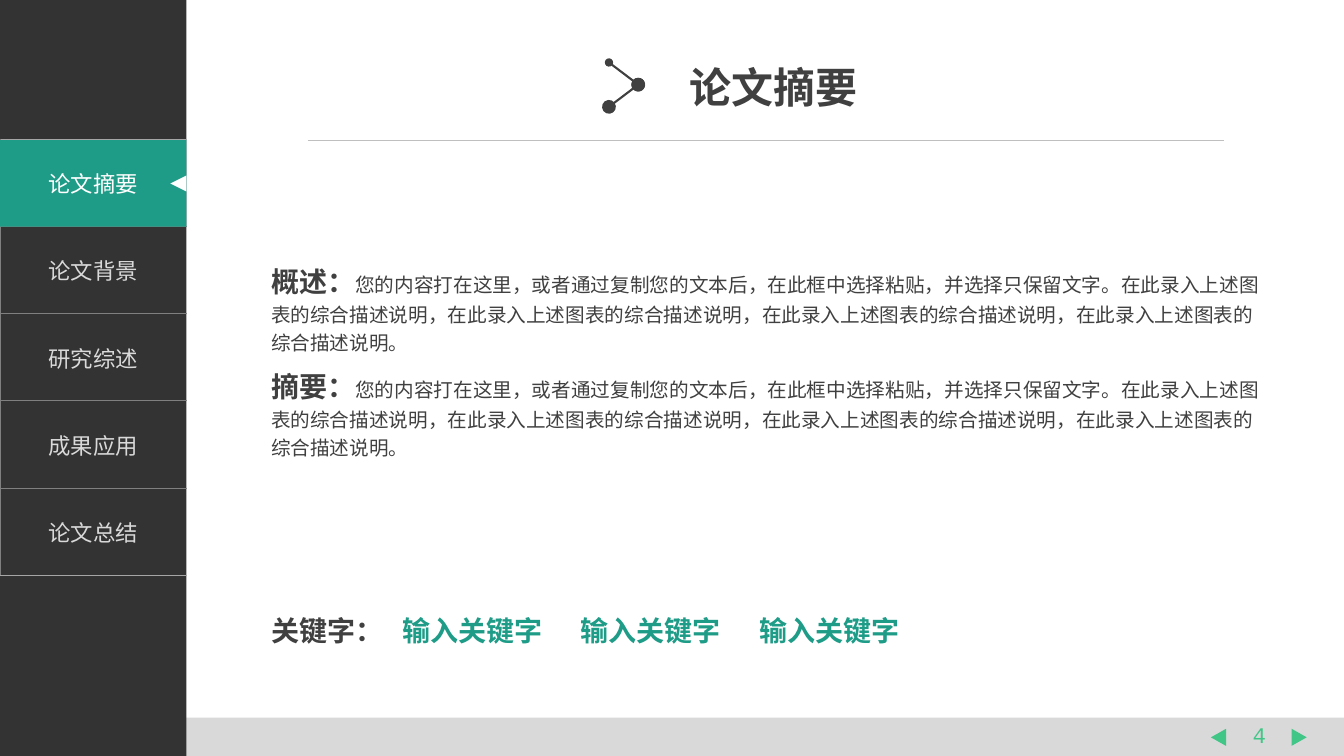
from lxml import etree
from pptx import Presentation
from pptx.dml.color import RGBColor
from pptx.enum.shapes import MSO_CONNECTOR, MSO_SHAPE
from pptx.enum.text import MSO_ANCHOR, MSO_AUTO_SIZE, PP_ALIGN
from pptx.oxml.ns import qn
from pptx.util import Inches, Pt

RECTANGLE = MSO_SHAPE.RECTANGLE
TRIANGLE = MSO_SHAPE.ISOSCELES_TRIANGLE
STRAIGHT = MSO_CONNECTOR.STRAIGHT
MIDDLE = MSO_ANCHOR.MIDDLE
GROW = MSO_AUTO_SIZE.SHAPE_TO_FIT_TEXT
LEFT = PP_ALIGN.LEFT
CENTER = PP_ALIGN.CENTER

COLORS = {
    "white": "FFFFFF",
    "footer": "D9D9D9",
    "sidebar": "333333",
    "divider": "808080",
    "outer_divider": "A6A6A6",
    "rule": "BFBFBF",
    "text": "404040",
    "accent": "1E9C87",
    "pager": "42C687",
}
CHINESE_FONT = "Noto Sans CJK SC"
SECTIONS = ["论文摘要", "论文背景", "研究综述", "成果应用", "论文总结"]
BODY = "您的内容打在这里，或者通过复制您的文本后，在此框中选择粘贴，并选择只保留文字。" + "，".join(
    ["在此录入上述图表的综合描述说明"] * 4) + "。"


class SlideBuilder:
    def __init__(self, slide):
        self.slide = slide

    def color(self, name):
        return RGBColor.from_string(COLORS[name])

    def format_run(self, run, size, color, bold=False, font=CHINESE_FONT):
        run.font.size = Pt(size)
        run.font.bold = bold
        run.font.name = font
        run.font.color.rgb = self.color(color)
        east_asian = etree.SubElement(run.font._element, qn("a:ea"))
        east_asian.set("typeface", CHINESE_FONT)

    def label(self, text_frame, text, size, color, **style):
        text_frame.text = text
        paragraph = text_frame.paragraphs[0]
        paragraph.alignment = CENTER
        self.format_run(paragraph.runs[0], size, color, **style)

    def shape(self, kind, left, top, width, height, fill, rotation=0):
        shape = self.slide.shapes.add_shape(
            kind, Inches(left), Inches(top), Inches(width), Inches(height))
        shape.shadow.inherit = False
        shape.fill.solid()
        shape.fill.fore_color.rgb = self.color(fill)
        shape.line.fill.background()
        shape.rotation = rotation
        return shape

    def text_box(self, left, top, width, height, wrap=True):
        box = self.slide.shapes.add_textbox(
            Inches(left), Inches(top), Inches(width), Inches(height))
        box.text_frame.word_wrap = wrap
        box.text_frame.auto_size = GROW
        return box.text_frame

    def headed_text(self, top, height, parts, tabs=()):
        paragraph = self.text_box(2.59, top, 10.04, height).paragraphs[0]
        paragraph.alignment = LEFT
        paragraph.line_spacing = 1.2
        if tabs:
            tab_list = etree.SubElement(paragraph._p.get_or_add_pPr(), qn("a:tabLst"))
            for position in tabs:
                etree.SubElement(tab_list, qn("a:tab"), pos=str(Inches(position)), algn="l")
        for text, size, color, bold in parts:
            run = paragraph.add_run()
            run.text = text
            self.format_run(run, size, color, bold)

    def line(self, start, end, color, width, ovals=None):
        connector = self.slide.shapes.add_connector(
            STRAIGHT, *(Inches(value) for value in start + end))
        connector.line.color.rgb = self.color(color)
        connector.line.width = Pt(width)
        for tag, size in (ovals or {}).items():
            etree.SubElement(connector.line._get_or_add_ln(), qn(tag),
                             type="oval", w=size, len=size)
        etree.SubElement(connector._element.spPr, qn("a:effectLst"))

    def border(self, cell, tag, color=None):
        line = etree.SubElement(cell._tc.get_or_add_tcPr(), qn(tag), w=str(Pt(1)))
        if color is None:
            etree.SubElement(line, qn("a:noFill"))
        else:
            fill = etree.SubElement(line, qn("a:solidFill"))
            etree.SubElement(fill, qn("a:srgbClr"), val=COLORS[color])

    def navigation(self, left, top, width, height, sections):
        table = self.slide.shapes.add_table(
            len(sections), 1, Inches(left), Inches(top), Inches(width), Inches(height)).table
        table.first_row = False
        table.horz_banding = False
        last = len(sections) - 1
        for index, section in enumerate(sections):
            cell = table.cell(index, 0)
            cell.vertical_anchor = MIDDLE
            self.border(cell, "a:lnL", "divider")
            self.border(cell, "a:lnR")
            self.border(cell, "a:lnT", "outer_divider" if index == 0 else "divider")
            self.border(cell, "a:lnB", "outer_divider" if index == last else "divider")
            cell.fill.background()
            self.label(cell.text_frame, section, 16, "footer")


def main():
    presentation = Presentation()
    presentation.slide_width = Inches(13.33)
    presentation.slide_height = Inches(7.5)
    builder = SlideBuilder(presentation.slides.add_slide(presentation.slide_layouts[6]))

    builder.shape(RECTANGLE, 0, 7.12, 13.33, 0.38, "footer")
    page_number = builder.text_box(12.25, 7.11, 0.48, 0.37, wrap=False)
    builder.label(page_number, "4", 16, "pager", font="Courier New")
    builder.shape(RECTANGLE, 0, 0, 1.85, 7.5, "sidebar")
    builder.navigation(0, 1.38, 1.85, 4.33, SECTIONS)
    for left, rotation in ((12.8, 90), (12, 270)):
        builder.shape(TRIANGLE, left, 7.24, 0.17, 0.15, "pager", rotation)

    active_section = builder.shape(RECTANGLE, 0, 1.39, 1.85, 0.86, "accent")
    active_section.text_frame.vertical_anchor = MIDDLE
    builder.label(active_section.text_frame, SECTIONS[0], 16, "white")
    builder.shape(TRIANGLE, 1.69, 1.74, 0.16, 0.16, "white", 270)
    builder.line((3.05, 1.39), (12.14, 1.39), "rule", 0.5)

    for heading, top in (("概述：", 2.51), ("摘要：", 3.55)):
        builder.headed_text(top, 1.05, [(heading, 20, "text", True), (BODY, 14, "text", False)])
    keywords = "".join(["\t输入关键字"] * 3)
    builder.headed_text(5.97, 0.47, [("关键字：", 20, "text", True), (keywords, 20, "accent", True)],
                        tabs=[1.3 + 1.77 * index for index in range(3)])

    title = builder.text_box(6.73, 0.56, 1.88, 0.61, wrap=False)
    builder.label(title, SECTIONS[0], 30, "text", bold=True, font="Arial")
    builder.line((6.04, 0.62), (6.33, 0.84), "text", 1.5, {"a:headEnd": "med", "a:tailEnd": "lg"})
    builder.line((6.33, 0.84), (6.04, 1.06), "text", 1.5, {"a:headEnd": "lg", "a:tailEnd": "lg"})

    presentation.save("out.pptx")


if __name__ == "__main__":
    main()
